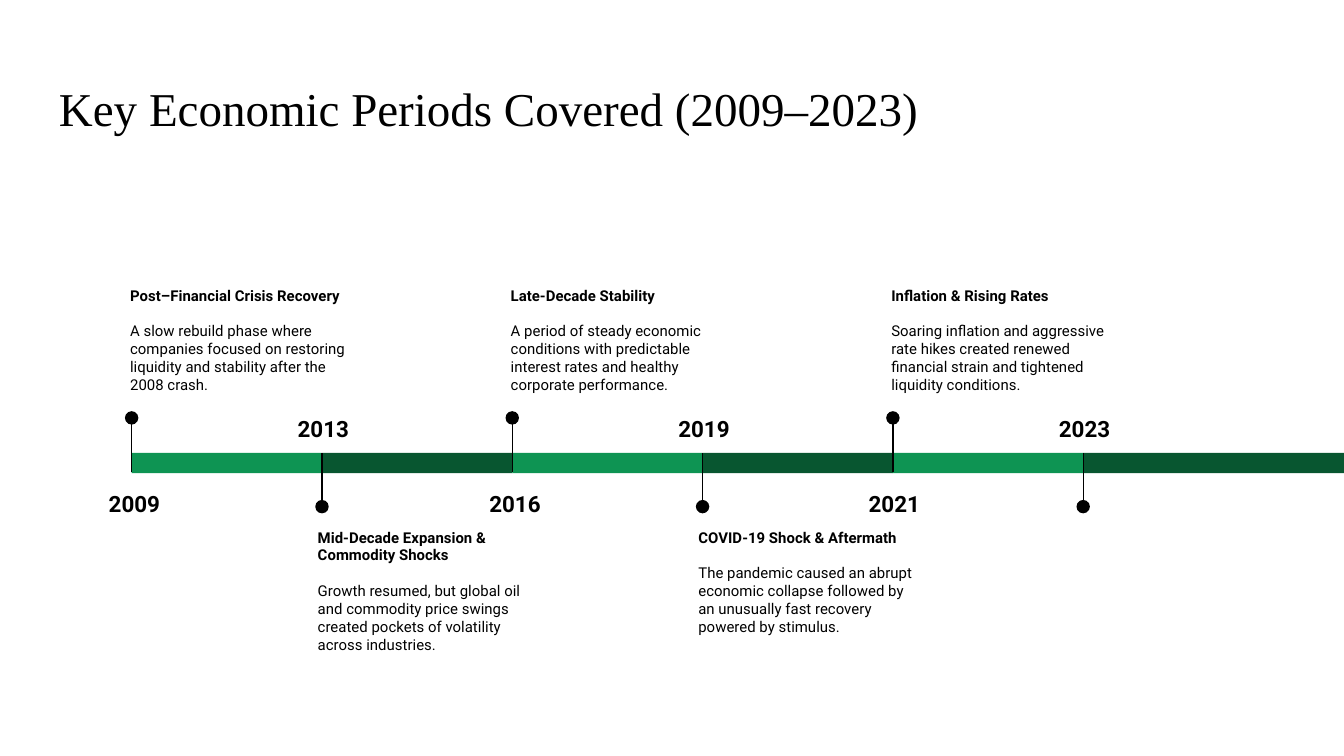
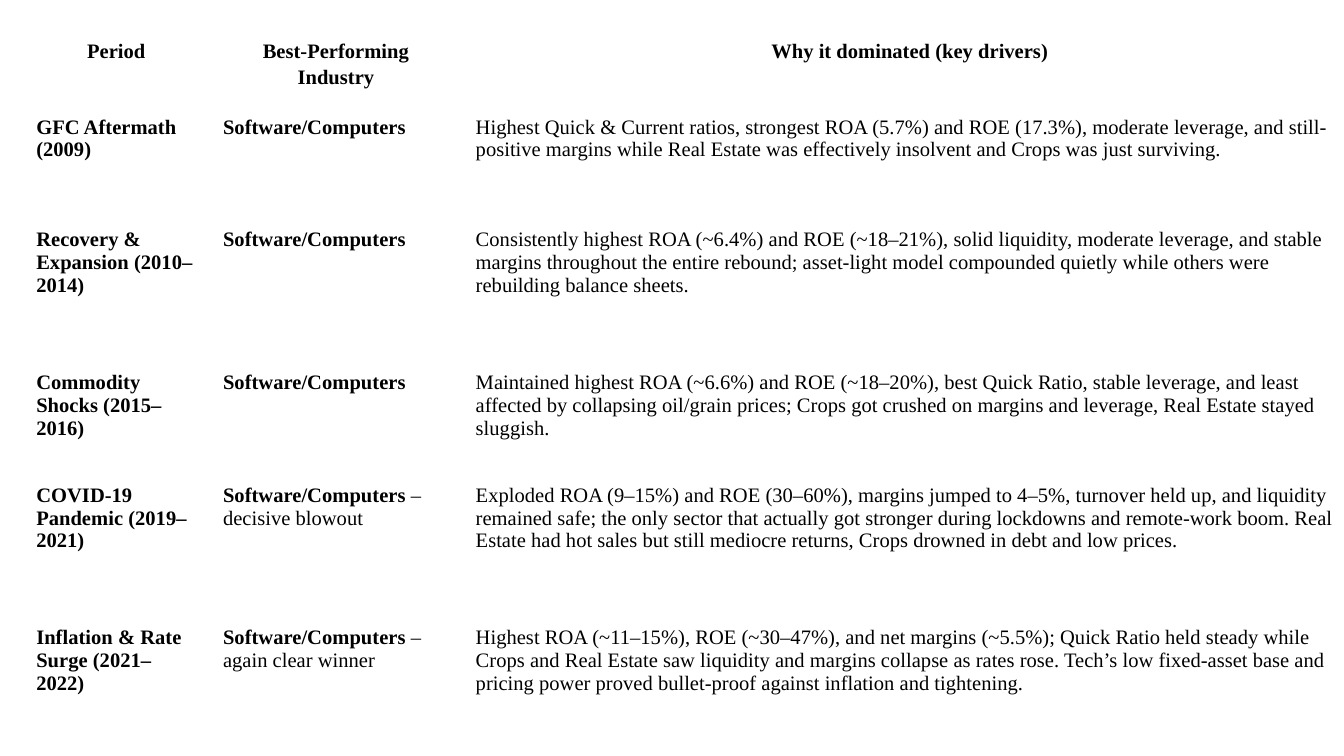
import pptx
import pptx.util
import pptx.dml.color
import pptx.enum.shapes
import pptx.enum.text
import lxml.etree

Inches = pptx.util.Inches
Pt = pptx.util.Pt
KIND = pptx.enum.shapes.MSO_SHAPE
ALIGN = pptx.enum.text.PP_ALIGN
ANCHOR = pptx.enum.text.MSO_ANCHOR

BLACK, LIGHT, DARK, WHITE = "000000", "0E9453", "085630", "FFFFFF"
SERIF, SANS = "Times New Roman", "Roboto"
PAD = 0.1

ERAS = [
    ("2009", 0.02, "Post–Financial Crisis Recovery",
     "A slow rebuild phase where companies focused on restoring "
     "liquidity and stability after the 2008 crash."),
    ("2013", 0.01, "Mid-Decade Expansion & Commodity Shocks",
     "Growth resumed, but global oil and commodity price swings "
     "created pockets of volatility across industries."),
    ("2016", 0.02, "Late-Decade Stability",
     "A period of steady economic conditions with predictable "
     "interest rates and healthy corporate performance."),
    ("2019", 0.01, "COVID-19 Shock & Aftermath",
     "The pandemic caused an abrupt economic collapse followed by "
     "an unusually fast recovery powered by stimulus."),
    ("2021", 0.01, "Inflation & Rising Rates",
     "Soaring inflation and aggressive rate hikes created renewed "
     "financial strain and tightened liquidity conditions."),
    ("2023", 0.01, "", ""),
]

HEADS = ["Period", "Best-Performing Industry", "Why it dominated (key drivers)"]
BEST = "Software/Computers"
ROWS = [
    ("GFC Aftermath (2009)", "",
     "Highest Quick & Current ratios, strongest ROA (5.7%) and ROE (17.3%), "
     "moderate leverage, and still-positive margins while Real Estate was "
     "effectively insolvent and Crops was just surviving."),
    ("Recovery & Expansion (2010–2014)", "",
     "Consistently highest ROA (~6.4%) and ROE (~18–21%), solid liquidity, "
     "moderate leverage, and stable margins throughout the entire rebound; "
     "asset-light model compounded quietly while others were rebuilding "
     "balance sheets."),
    ("Commodity Shocks (2015–2016)", "",
     "Maintained highest ROA (~6.6%) and ROE (~18–20%), best Quick Ratio, "
     "stable leverage, and least affected by collapsing oil/grain prices; "
     "Crops got crushed on margins and leverage, Real Estate stayed sluggish."),
    ("COVID-19 Pandemic (2019–2021)", " – decisive blowout",
     "Exploded ROA (9–15%) and ROE (30–60%), margins jumped to 4–5%, turnover "
     "held up, and liquidity remained safe; the only sector that actually got "
     "stronger during lockdowns and remote-work boom. Real Estate had hot "
     "sales but still mediocre returns, Crops drowned in debt and low prices."),
    ("Inflation & Rate Surge (2021–2022)", " – again clear winner",
     "Highest ROA (~11–15%), ROE (~30–47%), and net margins (~5.5%); Quick "
     "Ratio held steady while Crops and Real Estate saw liquidity and margins "
     "collapse as rates rose. Tech’s low fixed-asset base and pricing power "
     "proved bullet-proof against inflation and tightening."),
]
COLS = [1.39, 1.88, 6.66]
TALL = [0.59, 0.84, 1.06, 0.84, 1.06, 1.06]


def shade(code):
    """Turn a hex string into a colour."""
    return pptx.dml.color.RGBColor.from_string(code)


def add_run(para, text, font, size, bold=False):
    """Add one styled run to a paragraph."""
    run = para.add_run()
    run.text = text
    run.font.name = font
    run.font.size = Pt(size)
    run.font.bold = bold
    run.font.color.rgb = shade(BLACK)


def add_box(shapes, left, top, width, height, anchor=ANCHOR.TOP):
    """Add a wrapping text box and return its frame."""
    box = shapes.add_textbox(Inches(left), Inches(top), Inches(width), Inches(height))
    frame = box.text_frame
    frame.word_wrap = True
    frame.vertical_anchor = anchor
    frame.margin_left = frame.margin_right = Inches(PAD)
    frame.margin_top = frame.margin_bottom = Inches(PAD)
    return frame


def add_form(shapes, kind, left, top, width, height, fill):
    """Add a filled shape without outline."""
    form = shapes.add_shape(kind, Inches(left), Inches(top), Inches(width), Inches(height))
    form.shadow.inherit = False
    form.fill.solid()
    form.fill.fore_color.rgb = shade(fill)
    form.line.fill.background()


def add_stem(shapes, x, start, end):
    """Add an upright line."""
    stem = shapes.add_connector(pptx.enum.shapes.MSO_CONNECTOR.STRAIGHT,
                                Inches(x), Inches(start), Inches(x), Inches(end))
    stem.line.color.rgb = shade(BLACK)
    stem.line.width = Pt(0.75)
    lxml.etree.SubElement(stem.element.spPr, pptx.oxml.ns.qn("a:effectLst"))


def add_slide(deck):
    """Add a blank white slide."""
    slide = deck.slides.add_slide(deck.slide_layouts[6])
    slide.background.fill.solid()
    slide.background.fill.fore_color.rgb = shade(WHITE)
    return slide


def add_title(slide, text):
    """Add the slide title."""
    frame = add_box(slide.shapes, 0.34, 0.49, 9.32, 0.63, ANCHOR.MIDDLE)
    add_run(frame.paragraphs[0], text, SERIF, 25.2)


def add_era(shapes, x, y, width, era, above):
    """Draw one bar segment with its pin, year and note."""
    year, nudge, head, body = era
    add_form(shapes, KIND.RECTANGLE, x, y, width, 0.15, LIGHT if above else DARK)
    start, end = (y - 0.25, y + 0.14) if above else (y + 0.39, y)
    add_stem(shapes, x, start, end)
    dot = y - 0.31 if above else y + 0.35
    add_form(shapes, KIND.OVAL, x - 0.05, dot, 0.1, 0.1, BLACK)

    date = add_box(shapes, x + nudge - 0.41, y + 0.15 if above else y - 0.41, 0.82, 0.41)
    para = date.paragraphs[0]
    para.alignment = ALIGN.CENTER
    para.line_spacing = 1.15
    add_run(para, year, SANS, 12, True)

    if head:
        left, top = (x - 0.11, y - 1.34) if above else (x - 0.13, y + 0.46)
        note = add_box(shapes, left, top, 1.84, 1.03)
        add_run(note.paragraphs[0], head, SANS, 8, True)
        para = note.add_paragraph()
        para.space_before = Pt(9.5)
        add_run(para, body, SANS, 8)


def add_line(slide, left, top, right):
    """Draw the timeline, notes in turn above and below the bar."""
    step = (8.06 - left) / (len(ERAS) - 1)
    for i, era in enumerate(ERAS):
        x = left + i * step
        width = right - x if i == len(ERAS) - 1 else step
        group = slide.shapes.add_group_shape()
        add_era(group.shapes, x, top, width, era, i % 2 == 0)


def add_grid(slide, left, top):
    """Draw the table of best industries by period."""
    grid = slide.shapes.add_table(len(TALL), len(COLS), Inches(left), Inches(top),
                                  Inches(sum(COLS)), Inches(sum(TALL))).table
    grid.first_row = grid.horz_banding = False
    for col, width in zip(grid.columns, COLS):
        col.width = Inches(width)
    for row, height in zip(grid.rows, TALL):
        row.height = Inches(height)
    lines = [[[(head, True)] for head in HEADS]]
    for span, tail, why in ROWS:
        best = [(BEST, True)] + ([(tail, False)] if tail else [])
        lines.append([[(span, True)], best, [(why, False)]])
    for r, line in enumerate(lines):
        for c, runs in enumerate(line):
            cell = grid.cell(r, c)
            cell.fill.background()
            cell.margin_left = cell.margin_right = Inches(PAD)
            cell.margin_top = cell.margin_bottom = Inches(PAD)
            para = cell.text_frame.paragraphs[0]
            if r == 0:
                para.alignment = ALIGN.CENTER
                para.line_spacing = 1.15
            for text, bold in runs:
                add_run(para, text, SERIF, 11, bold)


def main():
    """Build and save the deck."""
    deck = pptx.Presentation()
    deck.slide_width = Inches(10)
    deck.slide_height = deck.slide_width * 9 // 16
    slide = add_slide(deck)
    add_title(slide, "Key Economic Periods Covered (2009–2023)")
    add_line(slide, 0.98, 3.37, 10)
    add_grid(add_slide(deck), 0.17, 0.17)
    deck.save("out.pptx")


if __name__ == "__main__":
    main()
